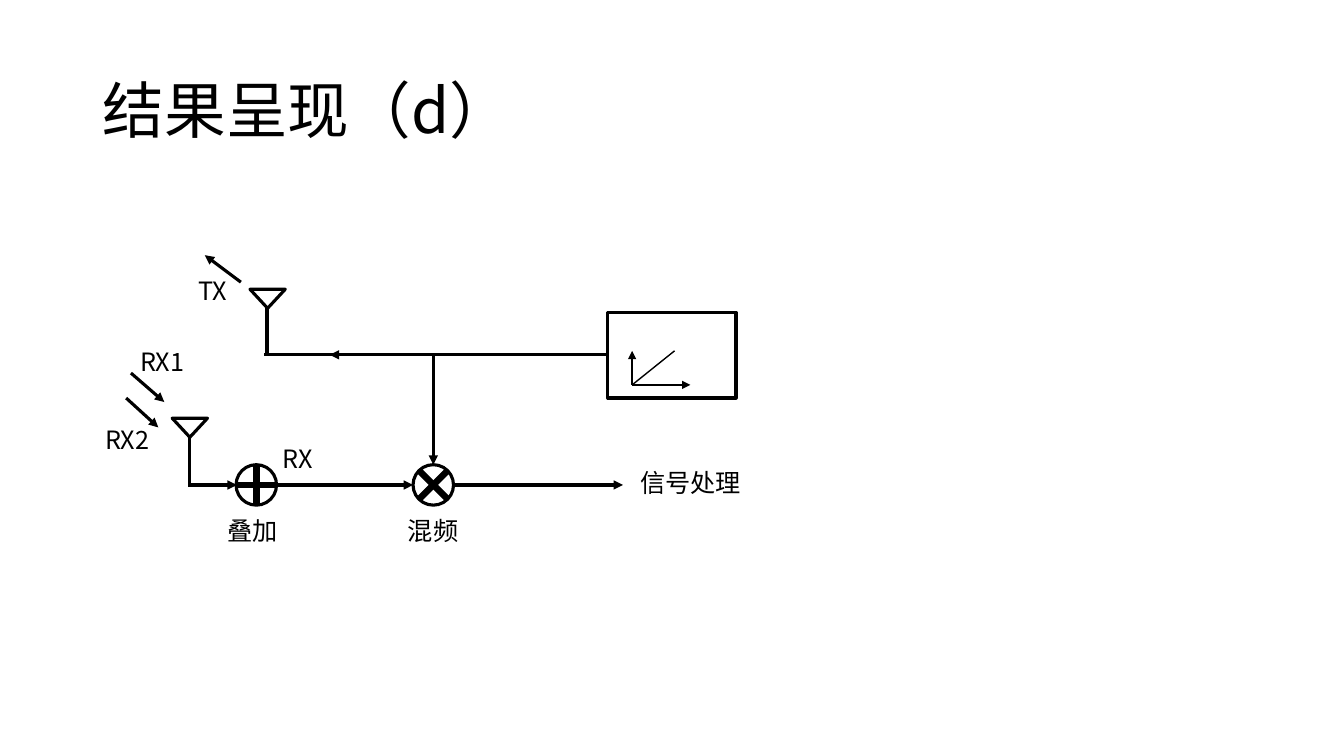
import pptx
import pptx.dml.color
import pptx.enum.shapes
import pptx.enum.text
import pptx.oxml.ns
import pptx.util
from lxml import etree

Cm = pptx.util.Cm
Shape = pptx.enum.shapes.MSO_SHAPE
FONT = "Noto Sans CJK SC"
BLACK = "000000"


def color(hex_string):
    """Turn a hex string into a colour."""
    return pptx.dml.color.RGBColor.from_string(hex_string)


def write(shape, text, size):
    """Write one paragraph of black text into a shape."""
    paragraph = shape.text_frame.paragraphs[0]
    paragraph.text = text
    paragraph.alignment = pptx.enum.text.PP_ALIGN.LEFT
    paragraph.font.size = pptx.util.Pt(size)
    paragraph.font.color.rgb = color(BLACK)
    paragraph.font.name = FONT
    properties = paragraph.font._element
    etree.SubElement(properties, pptx.oxml.ns.qn("a:ea"), typeface=FONT)
    return paragraph


def add_label(shapes, text, left, top, width):
    """Add a one-line label."""
    label = shapes.add_textbox(Cm(left), Cm(top), Cm(width), Cm(1.02))
    label.text_frame.word_wrap = True
    label.text_frame.auto_size = pptx.enum.text.MSO_AUTO_SIZE.SHAPE_TO_FIT_TEXT
    write(label, text, 18)


def add_outline(shapes, kind, left, top, width, height, weight=2.25, fill=None):
    """Add a preset shape with a black outline."""
    shape = shapes.add_shape(kind, Cm(left), Cm(top), Cm(width), Cm(height))
    shape.shadow.inherit = False
    if fill:
        shape.fill.solid()
        shape.fill.fore_color.rgb = color(fill)
    else:
        shape.fill.background()
    shape.line.color.rgb = color(BLACK)
    shape.line.width = pptx.util.Pt(weight)
    return shape


def add_wire(shapes, start, end, arrow=True, weight=2.25):
    """Add a straight line, with an arrowhead at its end if wanted."""
    wire = shapes.add_connector(
        pptx.enum.shapes.MSO_CONNECTOR.STRAIGHT, *map(Cm, (*start, *end)))
    wire.line.color.rgb = color(BLACK)
    wire.line.width = pptx.util.Pt(weight)
    if arrow:
        etree.SubElement(wire.line._get_or_add_ln(),
                         pptx.oxml.ns.qn("a:tailEnd"), type="triangle")
    etree.SubElement(wire._element.spPr, pptx.oxml.ns.qn("a:effectLst"))


def add_antenna(shapes, left, top):
    """Draw an antenna: an inverted triangle on a stem."""
    group = shapes.add_group_shape().shapes
    cone = add_outline(group, Shape.ISOSCELES_TRIANGLE, left, top, 0.89, 0.48)
    cone._element.spPr.xfrm.set("flipV", "1")
    stem = left + 0.43
    add_wire(group, (stem, top + 0.41), (stem, top + 1.68), arrow=False)


def add_operator(shapes, left, top, angle):
    """Draw a circle with two crossed bars, turned by an angle."""
    diameter, thickness = 1.02, 0.13
    group = shapes.add_group_shape().shapes
    add_outline(group, Shape.OVAL, left, top, diameter, diameter)
    for turn in (angle, angle + 90):
        bar = add_outline(group, Shape.CROSS, left, top + (diameter - thickness) / 2,
                          diameter, thickness, 1, BLACK)
        bar.rotation = turn


def add_chirp_source(shapes, left, top, width, height):
    """Draw the signal source with its frequency ramp."""
    add_outline(shapes, Shape.RECTANGLE, left, top, width, height)
    x, y = left + 0.61, top + 1.83
    for across, up, arrow in ((1.47, 0, True), (0, 0.86, True), (1.07, 0.86, False)):
        add_wire(shapes, (x, y), (x + across, y - up), arrow, 1)


def add_title(slide, left, top, width, height):
    """Place and format the slide title."""
    title = slide.shapes.title
    title.left, title.top, title.width, title.height = map(Cm, (left, top, width, height))
    title.text_frame.vertical_anchor = pptx.enum.text.MSO_ANCHOR.MIDDLE
    write(title, "结果呈现（d）", 44).line_spacing = 0.9


def add_radar_diagram(slide, left, top):
    """Draw the transmit and receive chains from the given corner."""
    shapes = slide.shapes

    def at(x, y):
        """Shift a point into the diagram."""
        return left + x, top + y

    transmit, receive = 2.54, 5.82
    add_chirp_source(shapes, *at(12.92, 1.47), 3.23, 2.16)
    add_antenna(shapes, *at(3.9, 0.89))
    add_antenna(shapes, *at(1.94, 4.14))
    add_operator(shapes, *at(3.55, 5.31), 0)
    add_operator(shapes, *at(8.01, 5.31), 45)

    add_wire(shapes, at(12.92, transmit), at(4.25, transmit), arrow=False)
    for start, end in (
        ((9.13, transmit), (5.91, transmit)),
        ((8.52, transmit), (8.52, 5.31)),
        ((2.35, receive), (3.57, receive)),
        ((4.61, receive), (8.01, receive)),
        ((9.06, receive), (13.3, receive)),
        ((3.67, 0.71), (2.76, 0.03)),
        ((0.9, 3), (1.74, 3.73)),
        ((0.78, 3.63), (1.59, 4.37)),
    ):
        add_wire(shapes, at(*start), at(*end))

    for text, x, y, width in (
        ("TX", 2.35, 0.41, 1.47),
        ("RX1", 0.88, 2.19, 1.7),
        ("RX2", 0, 4.17, 1.7),
        ("RX", 4.48, 4.65, 1.47),
        ("叠加", 3.09, 6.45, 1.9),
        ("混频", 7.63, 6.45, 1.9),
        ("信号处理", 13.48, 5.26, 3.23),
    ):
        add_label(shapes, text, *at(x, y), width)


def main():
    """Build and save the presentation."""
    presentation = pptx.Presentation()
    presentation.slide_width, presentation.slide_height = Cm(33.87), Cm(19.05)
    slide = presentation.slides.add_slide(presentation.slide_layouts[5])
    add_title(slide, 2.34, 1.02, 29.21, 3.68)
    add_radar_diagram(slide, 2.4, 6.4)
    presentation.save("out.pptx")


if __name__ == "__main__":
    main()
